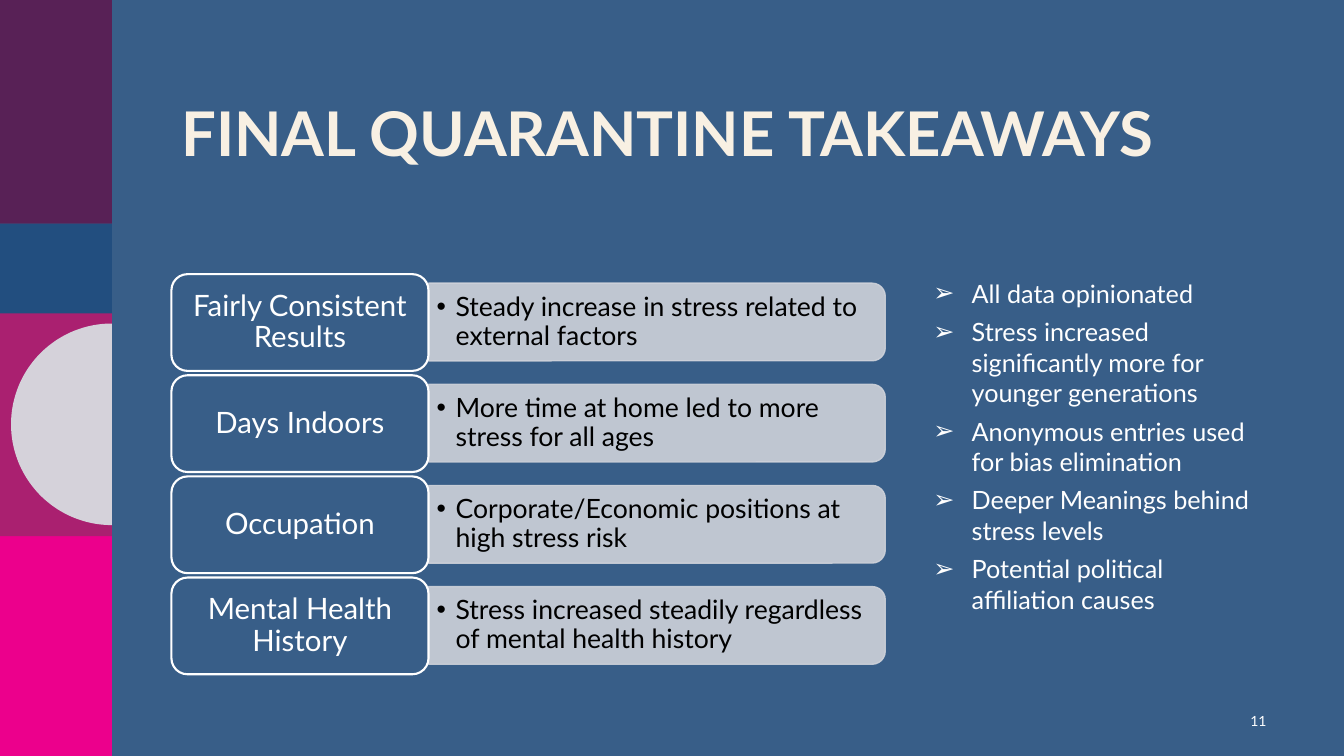
from math import cos, pi, sin

from lxml.etree import SubElement
from pptx import Presentation
from pptx.dml.color import RGBColor
from pptx.enum.shapes import MSO_SHAPE
from pptx.enum.text import MSO_ANCHOR, PP_ALIGN
from pptx.oxml.ns import qn
from pptx.util import Inches, Pt

BLUE = RGBColor(0x38, 0x5E, 0x88)
NAVY = RGBColor(0x22, 0x4E, 0x7F)
PLUM = RGBColor(0x58, 0x21, 0x56)
BERRY = RGBColor(0xAA, 0x20, 0x70)
PINK = RGBColor(0xEC, 0x00, 0x8C)
PEARL = RGBColor(0xD5, 0xD2, 0xDA)
SILVER = RGBColor(0xCE, 0xD2, 0xDA)
CREAM = RGBColor(0xF8, 0xF0, 0xE3)
WHITE = RGBColor(0xFF, 0xFF, 0xFF)
BLACK = RGBColor(0x00, 0x00, 0x00)

STRIPES = [(5.28, 2.22, PINK), (3.1, 2.22, BERRY), (0, 2.22, PLUM), (2.22, 0.89, NAVY)]
ROWS = [
    ("Fairly Consistent Results", "Steady increase in stress related to external factors"),
    ("Days Indoors", "More time at home led to more stress for all ages"),
    ("Occupation", "Corporate/Economic positions at high stress risk"),
    ("Mental Health History", "Stress increased steadily regardless of mental health history"),
]
NOTES = [
    "All data opinionated",
    "Stress increased significantly more for younger generations",
    "Anonymous entries used for bias elimination",
    "Deeper Meanings behind stress levels",
    "Potential political affiliation causes",
]
TOP = 2.72
STEP = 3.01 / 3


def paint(shape, fill, line=None, width=1):
    """Give a shape its fill and outline without a shadow."""
    shape.shadow.inherit = False
    shape.fill.solid()
    shape.fill.fore_color.rgb = fill
    if line is None:
        shape.line.fill.background()
    else:
        shape.line.color.rgb = line
        shape.line.width = Pt(width)


def add_block(slide, kind, box, fill, line=None, width=1):
    """Add a painted preset shape."""
    shape = slide.shapes.add_shape(kind, *map(Inches, box))
    paint(shape, fill, line, width)
    return shape


def add_moon(slide, x, y, radius):
    """Add the half disc that bulges left from x."""
    angles = [pi / 2 + pi * i / 90 for i in range(91)]
    points = [(Inches(x + radius * cos(a)), Inches(y - radius * sin(a))) for a in angles]
    form = slide.shapes.build_freeform(*points[0])
    form.add_line_segments(points[1:], close=True)
    paint(form.convert_to_shape(), PEARL)


def set_bullet(para, mark, indent):
    """Give a paragraph a hanging bullet."""
    props = para._p.get_or_add_pPr()
    props.set("marL", str(Inches(indent)))
    props.set("indent", str(-Inches(indent)))
    SubElement(props, qn("a:buFont"), typeface="Arial")
    SubElement(props, qn("a:buChar"), char=mark)


def write(shape, lines, size, color, bold=False, align=PP_ALIGN.LEFT, anchor=MSO_ANCHOR.TOP,
          inset=(0.1, 0.05), bullet=None, spacing=1, after=0):
    """Write styled paragraphs into a shape."""
    frame = shape.text_frame
    frame.word_wrap = True
    frame.vertical_anchor = anchor
    frame.margin_left = frame.margin_right = Inches(inset[0])
    frame.margin_top = frame.margin_bottom = Inches(inset[1])
    frame.text = "\n".join(lines)
    for para in frame.paragraphs:
        if bullet:
            set_bullet(para, *bullet)
        para.alignment = align
        para.line_spacing = spacing
        para.space_after = Pt(after)
        for run in para.runs:
            run.font.name = "Lato"
            run.font.size = Pt(size)
            run.font.bold = bold
            run.font.color.rgb = color


def add_text(slide, box, lines, size, color, **style):
    """Add a text box."""
    write(slide.shapes.add_textbox(*map(Inches, box)), lines, size, color, **style)


def add_row(slide, y, label, detail):
    """Add a labelled card with its detail bar."""
    bar = add_block(slide, MSO_SHAPE.ROUND_2_SAME_RECTANGLE,
                    (6.13, y - 1.79, 0.77, 4.53), SILVER, SILVER)
    bar.rotation = 90
    for color in bar._element.spPr.iter(qn("a:srgbClr")):
        SubElement(color, qn("a:alpha"), val="90000")
    add_text(slide, (4.25, y + 0.13, 4.5, 0.69), [detail], 19, BLACK, anchor=MSO_ANCHOR.MIDDLE,
             inset=(0.08, 0.04), bullet=("•", 0.19), spacing=0.9)
    card = add_block(slide, MSO_SHAPE.ROUNDED_RECTANGLE, (1.7, y, 2.55, 0.96), BLUE, WHITE, 1.5)
    write(card, [label], 21, WHITE, align=PP_ALIGN.CENTER, anchor=MSO_ANCHOR.MIDDLE,
          inset=(0.09, 0.04), spacing=0.9)


def main():
    """Build the slide and save it."""
    deck = Presentation()
    deck.slide_width, deck.slide_height = Inches(13.33), Inches(7.5)
    slide = deck.slides.add_slide(deck.slide_layouts[6])
    slide.background.fill.solid()
    slide.background.fill.fore_color.rgb = BLUE
    for y, height, color in STRIPES:
        add_block(slide, MSO_SHAPE.RECTANGLE, (0, y, 1.11, height), color)
    add_moon(slide, 1.11, 4.21, 1)
    add_text(slide, (1.7, 0.98, 10.79, 1.49), ["FINAL QUARANTINE TAKEAWAYS"], 44, CREAM,
             bold=True, spacing=0.9)
    add_text(slide, (9.16, 2.71, 3.33, 4.11), NOTES, 18, WHITE, bullet=("➢", 0.38), after=6)
    add_text(slide, (12.16, 6.95, 0.5, 0.4), ["11"], 10, WHITE,
             align=PP_ALIGN.RIGHT, anchor=MSO_ANCHOR.MIDDLE, after=6)
    for i, (label, detail) in enumerate(ROWS):
        add_row(slide, TOP + STEP * i, label, detail)
    deck.save("out.pptx")


if __name__ == "__main__":
    main()
